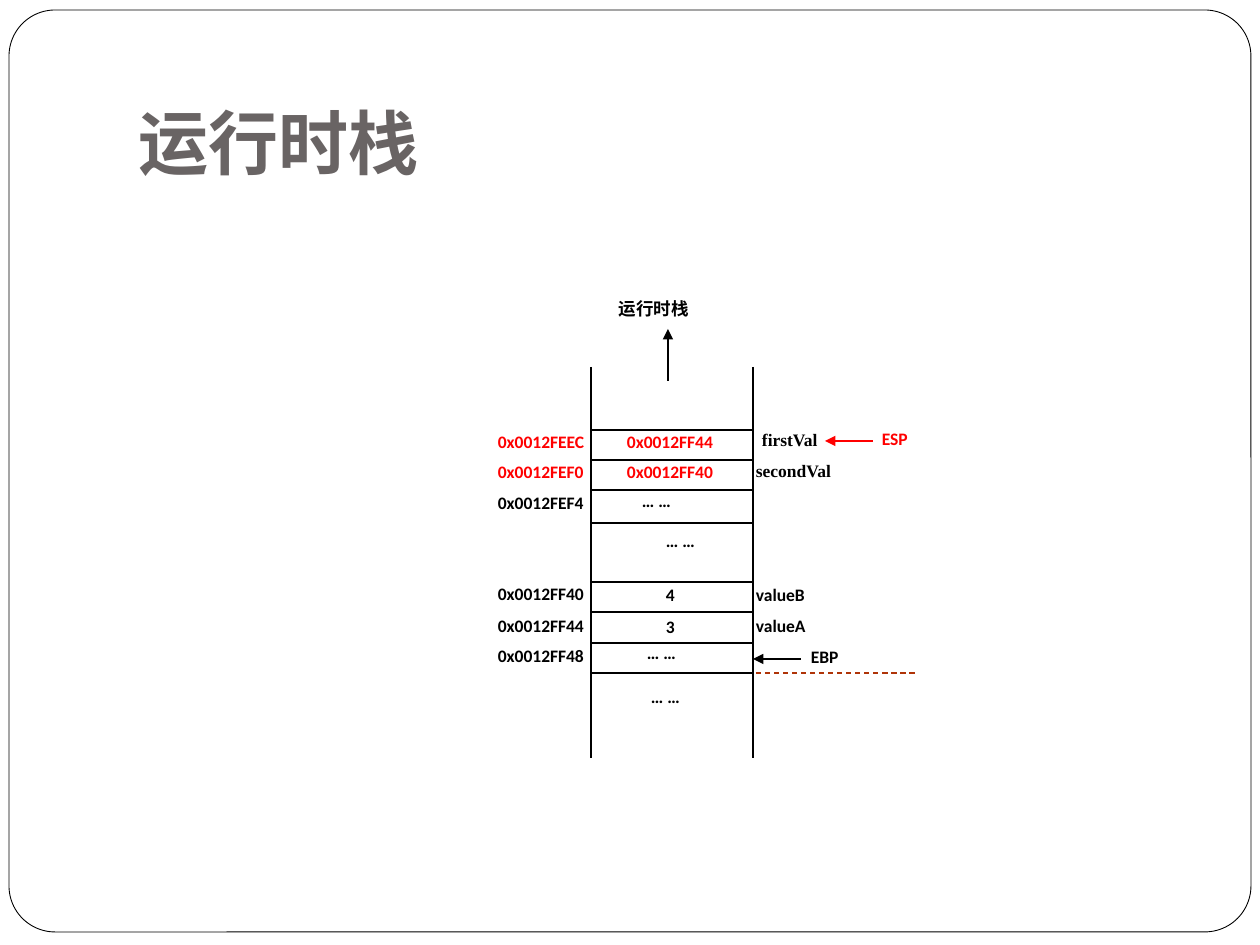
import pptx
import pptx.util
import pptx.dml.color
import pptx.enum.dml
import pptx.enum.shapes
import pptx.enum.text
import pptx.oxml
import pptx.oxml.ns

PX = 914400 // 126
BLACK, RED, TITLE_GREY, RUST = "000000", "FF0000", "696464", "AF3408"
STACK_LEFT, STACK_RIGHT = 591, 753
ADDRESS_X = 495
ROW_HEIGHT = 31


def px(length):
    return pptx.util.Emu(length * PX)


def color(hex_string):
    return pptx.dml.color.RGBColor.from_string(hex_string)


def add_text(slide, text, left, top, width=95, height=ROW_HEIGHT, ink=BLACK,
             font="Calibri", size=10, insets=(3, 1, 3, 1),
             anchor=pptx.enum.text.MSO_ANCHOR.TOP,
             align=pptx.enum.text.PP_ALIGN.JUSTIFY):
    box = slide.shapes.add_textbox(px(left), px(top), px(width), px(height))
    frame = box.text_frame
    frame.word_wrap = True
    frame.vertical_anchor = anchor
    (frame.margin_left, frame.margin_top,
     frame.margin_right, frame.margin_bottom) = map(px, insets)
    paragraph = frame.paragraphs[0]
    paragraph.text = text
    paragraph.alignment = align
    paragraph.font.name = font
    paragraph.font.size = pptx.util.Pt(size)
    paragraph.font.bold = True
    paragraph.font.color.rgb = color(ink)


def add_line(slide, x1, y1, x2, y2, ink=BLACK, arrow=False, dashed=False):
    connector = slide.shapes.add_connector(
        pptx.enum.shapes.MSO_CONNECTOR.STRAIGHT, px(x1), px(y1), px(x2), px(y2))
    connector.line.color.rgb = color(ink)
    connector.line.width = pptx.util.Pt(0.75)
    if dashed:
        connector.line.dash_style = pptx.enum.dml.MSO_LINE.DASH
    if arrow:
        tip = pptx.oxml.parse_xml(
            f'<a:tailEnd {pptx.oxml.ns.nsdecls("a")} type="triangle"/>')
        connector.line._get_or_add_ln().append(tip)
    connector._element.spPr.append(
        pptx.oxml.parse_xml(f'<a:effectLst {pptx.oxml.ns.nsdecls("a")}/>'))


def add_slide_frame(slide):
    border = slide.shapes.add_shape(
        pptx.enum.shapes.MSO_SHAPE.ROUNDED_RECTANGLE,
        px(9), px(10), px(1242), px(922))
    border.adjustments[0] = 0.05
    border.shadow.inherit = False
    border.fill.solid()
    border.fill.fore_color.rgb = color("FFFFFF")
    border.line.color.rgb = color(BLACK)
    border.line.width = pptx.util.Pt(0.5)


def add_stack_outline(slide):
    for side in (STACK_LEFT, STACK_RIGHT):
        add_line(slide, side, 367, side, 758)
    for divider in (430, 460, 490, 523, 582, 612, 643, 673):
        add_line(slide, STACK_LEFT, divider, STACK_RIGHT, divider)


def main():
    presentation = pptx.Presentation()
    presentation.slide_width = pptx.util.Inches(10)
    presentation.slide_height = pptx.util.Inches(7.5)
    slide = presentation.slides.add_slide(presentation.slide_layouts[6])

    # Frame and title
    add_slide_frame(slide)
    add_text(slide, "运行时栈", 126, 38, 1071, 158, TITLE_GREY, "Cabin", 40,
             (13, 6, 13, 13), pptx.enum.text.MSO_ANCHOR.BOTTOM,
             pptx.enum.text.PP_ALIGN.LEFT)

    # Stack with its growth direction
    add_stack_outline(slide)
    add_text(slide, "运行时栈", 616, 297, 103)
    add_line(slide, 668, 381, 668, 329, arrow=True)

    # Addresses to the left of the stack
    for address, top, ink in (
            ("0x0012FEEC", 430, RED), ("0x0012FEF0", 460, RED),
            ("0x0012FEF4", 491, BLACK), ("0x0012FF40", 582, BLACK),
            ("0x0012FF44", 614, BLACK), ("0x0012FF48", 644, BLACK)):
        add_text(slide, address, ADDRESS_X, top, 102, ink=ink)

    # Values inside the stack
    for value, left, top, ink in (
            ("0x0012FF44", 624, 430, RED), ("0x0012FF40", 624, 460, RED),
            ("… …", 639, 489, BLACK), ("… …", 663, 529, BLACK),
            ("4", 663, 583, BLACK), ("3", 663, 615, BLACK),
            ("… …", 644, 641, BLACK), ("… …", 648, 685, BLACK)):
        add_text(slide, value, left, top, ink=ink)

    # Variable names to the right of the stack
    for variable, left, top, font in (
            ("firstVal", 759, 428, "Times New Roman"),
            ("secondVal", 753, 459, "Times New Roman"),
            ("valueB", 753, 583, "Calibri"), ("valueA", 753, 614, "Calibri")):
        add_text(slide, variable, left, top, font=font)

    # Register pointers and base line of the frame
    for register, left, top, tip_x, arrow_y, ink in (
            ("ESP", 879, 427, 825, 441, RED),
            ("EBP", 808, 645, STACK_RIGHT, 659, BLACK)):
        add_text(slide, register, left, top, 38, ink=ink)
        add_line(slide, tip_x + 48, arrow_y, tip_x, arrow_y, ink, arrow=True)
    add_line(slide, 756, 673, 917, 673, RUST, dashed=True)

    presentation.save("out.pptx")


if __name__ == "__main__":
    main()
